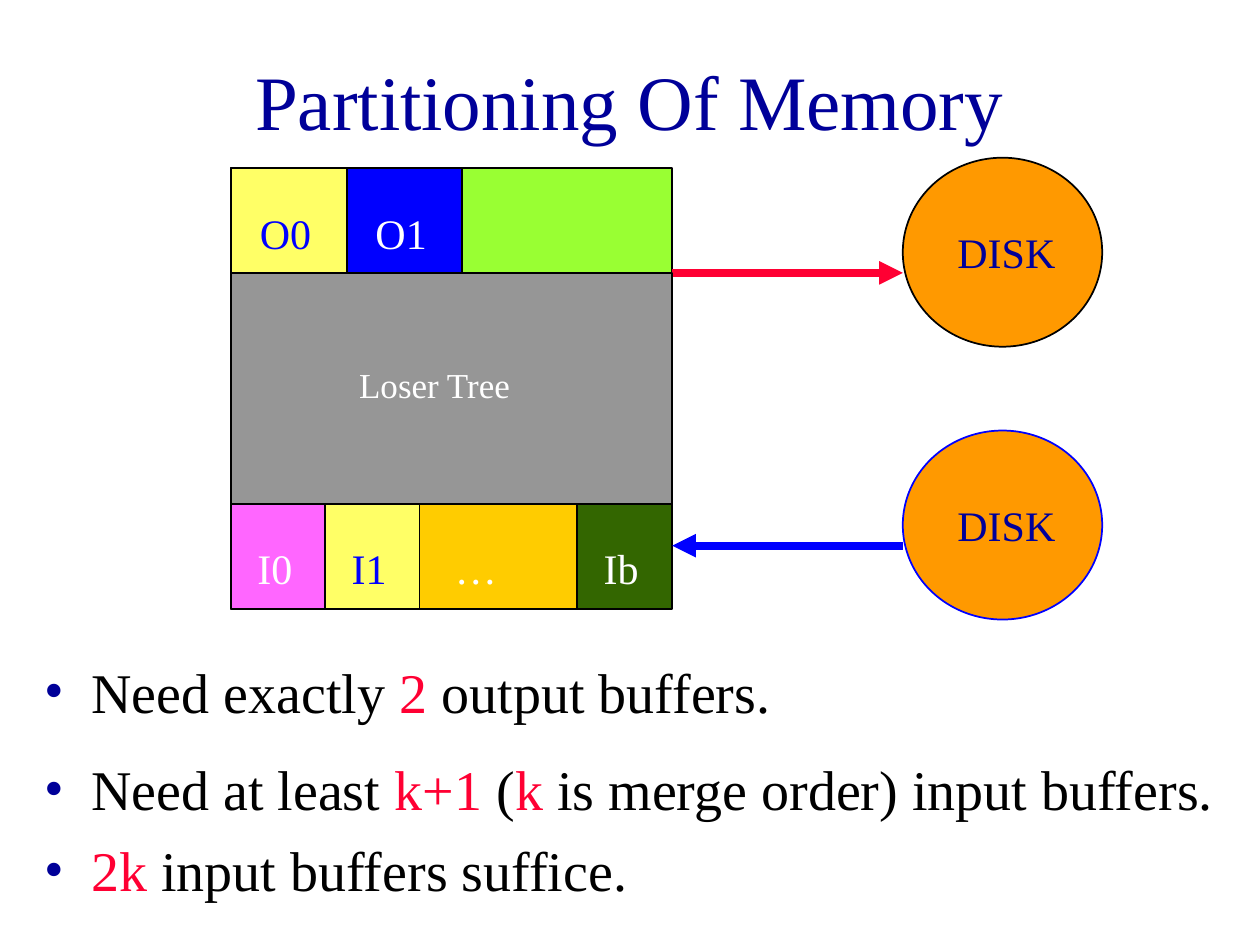
"""Build a slide showing how memory is split into buffers for external merging."""
from dataclasses import dataclass

from lxml import etree
from pptx import Presentation
from pptx.dml.color import RGBColor
from pptx.enum.shapes import MSO_CONNECTOR, MSO_SHAPE
from pptx.enum.text import MSO_ANCHOR, MSO_AUTO_SIZE, PP_ALIGN
from pptx.oxml.ns import qn
from pptx.util import Cm, Pt

RECTANGLE = MSO_SHAPE.RECTANGLE
OVAL = MSO_SHAPE.OVAL
STRAIGHT = MSO_CONNECTOR.STRAIGHT
MIDDLE = MSO_ANCHOR.MIDDLE
CENTER = PP_ALIGN.CENTER
NO_AUTOFIT = MSO_AUTO_SIZE.NONE

FONT = "Times New Roman"
NAVY, BLUE, RED = "000099", "0000FF", "FF0033"
BLACK, WHITE, YELLOW, ORANGE = "000000", "FFFFFF", "FFFF66", "FF9900"

MEMORY_LEFT, MEMORY_TOP, MEMORY_SIZE = 4.66, 3.39, 8.89
BUFFER_HEIGHT = 2.12
TREE_TOP = MEMORY_TOP + BUFFER_HEIGHT
INPUT_TOP = MEMORY_TOP + MEMORY_SIZE - BUFFER_HEIGHT
DISK_LEFT, DISK_WIDTH, DISK_HEIGHT = 18.2, 4.02, 3.81


@dataclass
class Label:
    text: str
    color: str
    left: float
    top: float
    width: float
    size: int = 24


@dataclass
class Buffer:
    text: str
    width: float
    fill: str
    color: str
    indent: float


@dataclass
class Transfer:
    disk_top: float
    outline: str
    start: float
    end: float
    height: float
    color: str


OUTPUTS = [
    Buffer("O0", 2.33, YELLOW, BLUE, 0.33),
    Buffer("O1", 2.33, BLUE, WHITE, 0.33),
]
INPUTS = [
    Buffer("I0", 1.9, "FF66FF", WHITE, 0.28),
    Buffer("I1", 1.9, YELLOW, BLUE, 0.28),
    Buffer("…", 3.18, "FFCC00", WHITE, 0.46),
    Buffer("Ib", 1.9, "336600", WHITE, 0.28),
]
MEMORY_RIGHT = MEMORY_LEFT + MEMORY_SIZE
TRANSFERS = [
    Transfer(8.68, BLUE, DISK_LEFT, MEMORY_RIGHT, 11, BLUE),
    Transfer(3.18, BLACK, MEMORY_RIGHT, DISK_LEFT, 5.5, RED),
]
BULLETS = [
    (13.12, 1.69, 1.0, [("Need exactly ", BLACK), ("2", RED), (" output buffers.", BLACK)]),
    (15.24, 1.48, 0.9, [("Need at least ", BLACK), ("k+1", RED), (" (", BLACK), ("k", RED),
                        (" is merge order) input buffers.", BLACK)]),
    (16.72, 1.91, 1.0, [("2k", RED), (" input buffers suffice.", BLACK)]),
]


def paint(color_format, value: str) -> None:
    """Set a colour from a hex string."""
    color_format.rgb = RGBColor.from_string(value)


def place(shape, left: float, top: float, width: float, height: float) -> None:
    """Move and size a shape, in centimetres."""
    shape.left, shape.top = Cm(left), Cm(top)
    shape.width, shape.height = Cm(width), Cm(height)


def add_block(slide, kind, left: float, top: float, width: float, height: float,
              fill: str, outline: str = BLACK) -> None:
    """Draw a filled, outlined shape."""
    shape = slide.shapes.add_shape(kind, Cm(left), Cm(top), Cm(width), Cm(height))
    shape.shadow.inherit = False
    shape.fill.solid()
    paint(shape.fill.fore_color, fill)
    paint(shape.line.color, outline)
    shape.line.width = Pt(1)


def add_label(slide, label: Label) -> None:
    """Write a one-line label."""
    box = slide.shapes.add_textbox(Cm(label.left), Cm(label.top), Cm(label.width), Cm(1.27))
    box.text_frame.word_wrap = True
    paragraph = box.text_frame.paragraphs[0]
    paragraph.text = label.text
    paragraph.space_before = Pt(2)
    paragraph.font.name, paragraph.font.size = FONT, Pt(label.size)
    paint(paragraph.font.color, label.color)


def add_buffers(slide, buffers: list[Buffer], top: float) -> None:
    """Draw a row of buffers from the left edge of memory."""
    left = MEMORY_LEFT
    for buffer in buffers:
        add_block(slide, RECTANGLE, left, top, buffer.width, BUFFER_HEIGHT, buffer.fill)
        add_label(slide, Label(buffer.text, buffer.color, left + buffer.indent, top + 0.66,
                               buffer.width - buffer.indent))
        left += buffer.width


def add_transfer(slide, transfer: Transfer) -> None:
    """Draw a disk and the arrow between it and memory."""
    add_block(slide, OVAL, DISK_LEFT, transfer.disk_top, DISK_WIDTH, DISK_HEIGHT,
              ORANGE, transfer.outline)
    add_label(slide, Label("DISK", NAVY, DISK_LEFT + 0.85, transfer.disk_top + 1.27, 3.38))
    arrow = slide.shapes.add_connector(STRAIGHT, Cm(transfer.start), Cm(transfer.height),
                                       Cm(transfer.end), Cm(transfer.height))
    paint(arrow.line.color, transfer.color)
    arrow.line.width = Pt(4.5)
    etree.SubElement(arrow.line._get_or_add_ln(), qn("a:tailEnd"), type="triangle")
    etree.SubElement(arrow._element.spPr, qn("a:effectLst"))


def write_bullet(shape, spacing: float, runs: list[tuple[str, str]]) -> None:
    """Write one bulleted line with coloured runs."""
    frame = shape.text_frame
    frame.word_wrap, frame.auto_size = True, NO_AUTOFIT
    paragraph = frame.paragraphs[0]
    paragraph.line_spacing, paragraph.space_before = spacing, Pt(2)
    paragraph.font.name, paragraph.font.size = FONT, Pt(32)
    properties = paragraph._p.get_or_add_pPr()
    properties.set("marL", str(Cm(0.95)))
    properties.set("indent", str(Cm(-0.95)))
    bullet_color = etree.Element(qn("a:buClr"))
    etree.SubElement(bullet_color, qn("a:srgbClr"), val=NAVY)
    bullet_font = etree.Element(qn("a:buFont"), typeface=FONT)
    bullet = etree.Element(qn("a:buChar"), char="•")
    for element in (bullet_color, bullet_font, bullet):
        properties.find(qn("a:defRPr")).addprevious(element)
    for text, color in runs:
        run = paragraph.add_run()
        run.text = text
        paint(run.font.color, color)


def write_title(title) -> None:
    """Place and format the slide title."""
    place(title, 1.9, 0.42, 21.59, 3.18)
    title.text_frame.vertical_anchor = MIDDLE
    paragraph = title.text_frame.paragraphs[0]
    paragraph.text = "Partitioning Of Memory"
    paragraph.alignment = CENTER
    paragraph.font.name, paragraph.font.size = FONT, Pt(44)
    paint(paragraph.font.color, NAVY)


def main() -> None:
    """Build and save the presentation."""
    presentation = Presentation()
    presentation.slide_width, presentation.slide_height = Cm(25.4), Cm(19.05)
    slide = presentation.slides.add_slide(presentation.slide_layouts[1])
    write_title(slide.shapes.title)
    add_block(slide, RECTANGLE, MEMORY_LEFT, MEMORY_TOP, MEMORY_SIZE, MEMORY_SIZE, "99FF33")
    for transfer in TRANSFERS:
        add_transfer(slide, transfer)
    add_buffers(slide, OUTPUTS, MEMORY_TOP)
    add_block(slide, RECTANGLE, MEMORY_LEFT, TREE_TOP, MEMORY_SIZE, INPUT_TOP - TREE_TOP, "969696")
    add_label(slide, Label("Loser Tree", WHITE, MEMORY_LEFT + 2.33, TREE_TOP + 1.69, 4.66, 20))
    add_buffers(slide, INPUTS, INPUT_TOP)
    for index, (top, height, spacing, runs) in enumerate(BULLETS):
        shape = slide.placeholders[1] if index == 0 else slide.shapes.add_textbox(0, 0, 0, 0)
        place(shape, 0.64, top, 24.13, height)
        write_bullet(shape, spacing, runs)
    presentation.save("out.pptx")


if __name__ == "__main__":
    main()
